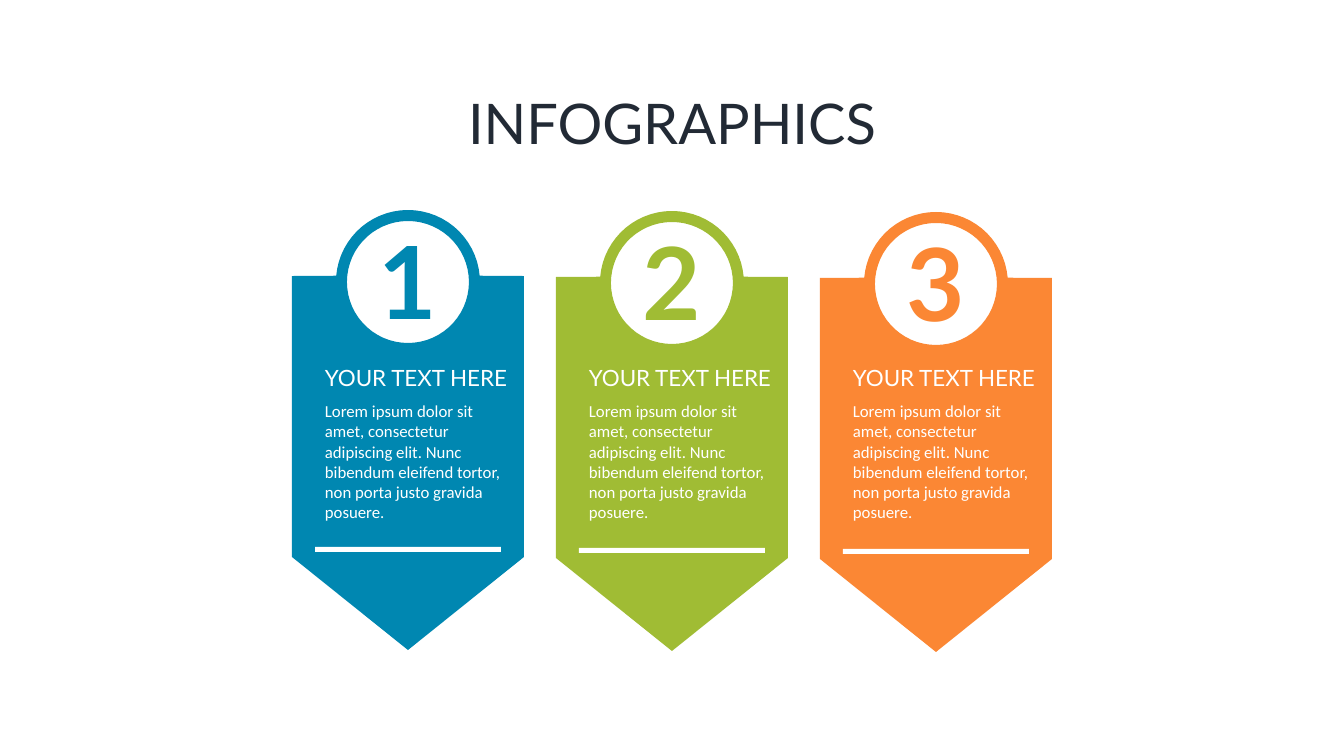
from math import cos, radians, sin

from pptx import Presentation
from pptx.dml.color import RGBColor
from pptx.enum.shapes import MSO_SHAPE as SHAPE
from pptx.enum.text import MSO_ANCHOR as ANCHOR, MSO_AUTO_SIZE as AUTO, PP_ALIGN as ALIGN
from pptx.util import Pt

BLUE = RGBColor(0x00, 0x87, 0xB1)
GREEN = RGBColor(0xA0, 0xBC, 0x34)
ORANGE = RGBColor(0xFB, 0x87, 0x34)
WHITE = RGBColor(0xFF, 0xFF, 0xFF)
NAVY = RGBColor(0x22, 0x2A, 0x35)

TITLE = "INFOGRAPHICS"
LOREM = ("Lorem ipsum dolor sit amet, consectetur adipiscing elit. "
         "Nunc bibendum eleifend tortor, non porta justo gravida posuere.")
BANNERS = [
    ("1", "YOUR TEXT HERE", LOREM, BLUE),
    ("2", "YOUR TEXT HERE", LOREM, GREEN),
    ("3", "YOUR TEXT HERE", LOREM, ORANGE),
]

TITLE_STYLE = {"name": "Lato", "size": Pt(40), "bold": False}
NUMERAL_STYLE = {"name": "Lato", "size": Pt(72), "bold": True}
HEADING_STYLE = {"name": "Lato", "size": Pt(16)}
BODY_STYLE = {"name": "Calibri", "size": Pt(12)}

# Lengths in px; x is measured from a banner's vertical axis
PX = 914400 / 100.8
SLIDE_SIZE = (1344, 756)
TITLE_BOX = (411, 83, 522, 78)
FIRST_AXIS, PITCH, DROP = 408, 264, 1
HALF_WIDTH, SHOULDER_Y, WAIST_Y, TIP_Y = 116, 276, 557, 650
RING_Y, RING_RADIUS, HOLE_RADIUS = 282, 72, 61
NUMERAL_LIFT = 3
INSET_X, TEXT_WIDTH = -93, 209
HEADING_Y, HEADING_HEIGHT = 359, 37
BODY_Y, BODY_HEIGHT = HEADING_Y + HEADING_HEIGHT, 132
BAR_Y, BAR_HEIGHT = 547, 5


def emu(*lengths):
    return [round(v * PX) for v in lengths]


def arc(radius, start, end, steps):
    """Points on a circle round the ring's centre, angles in degrees."""
    angles = [radians(start + (end - start) * i / steps) for i in range(steps + 1)]
    return [(radius * cos(a), RING_Y + radius * sin(a)) for a in angles]


def paint(sp, color):
    sp.fill.solid()
    sp.fill.fore_color.rgb = color
    sp.line.fill.background()
    sp.shadow.inherit = False


def add_banner(axis, drop, color):
    """Draw a pointed banner topped by a ring, with a round hole."""
    outer = arc(RING_RADIUS, -175, -5, 30) + [
        (HALF_WIDTH, SHOULDER_Y), (HALF_WIDTH, WAIST_Y), (0, TIP_Y),
        (-HALF_WIDTH, WAIST_Y), (-HALF_WIDTH, SHOULDER_Y)]
    hole = arc(HOLE_RADIUS, 270, -90, 60)
    outer, hole = [[emu(axis + x, drop + y) for x, y in contour]
                   for contour in (outer, hole)]
    builder = shapes.build_freeform(*outer[0], scale=1.0)
    builder.add_line_segments(outer[1:])
    builder.move_to(*hole[0])
    builder.add_line_segments(hole[1:])
    paint(builder.convert_to_shape(), color)


def write(sp, text, style, color, align=ALIGN.LEFT, **frame):
    tf = sp.text_frame
    defaults = {"word_wrap": True, "auto_size": AUTO.NONE, "vertical_anchor": ANCHOR.TOP}
    for key, value in {**defaults, **frame}.items():
        setattr(tf, key, value)
    p = tf.paragraphs[0]
    p.alignment = align
    r = p.add_run()
    r.text = text
    for key, value in style.items():
        setattr(r.font, key, value)
    r.font.color.rgb = color


def add_text(box, *args, **frame):
    write(shapes.add_textbox(*emu(*box)), *args, **frame)


prs = Presentation()
prs.slide_width, prs.slide_height = emu(*SLIDE_SIZE)
shapes = prs.slides.add_slide(prs.slide_layouts[5]).shapes

title = shapes.title
title.left, title.top, title.width, title.height = emu(*TITLE_BOX)
write(title, TITLE, TITLE_STYLE, NAVY, ALIGN.CENTER)

for i, (numeral, heading, body, color) in enumerate(BANNERS):
    axis, drop = FIRST_AXIS + i * PITCH, i * DROP
    left = axis + INSET_X
    add_banner(axis, drop, color)

    numeral_top = RING_Y - HOLE_RADIUS - NUMERAL_LIFT + drop
    numeral_box = (axis - HOLE_RADIUS, numeral_top, 2 * HOLE_RADIUS, 2 * HOLE_RADIUS)
    add_text(numeral_box, numeral, NUMERAL_STYLE, color, ALIGN.CENTER,
             vertical_anchor=ANCHOR.MIDDLE, margin_top=0, margin_bottom=0)

    bar_box = (left, BAR_Y + drop, -2 * INSET_X, BAR_HEIGHT)
    paint(shapes.add_shape(SHAPE.RECTANGLE, *emu(*bar_box)), WHITE)

    add_text((left, BODY_Y, TEXT_WIDTH, BODY_HEIGHT), body, BODY_STYLE, WHITE)
    add_text((left, HEADING_Y, TEXT_WIDTH, HEADING_HEIGHT), heading, HEADING_STYLE, WHITE)

prs.save("out.pptx")
